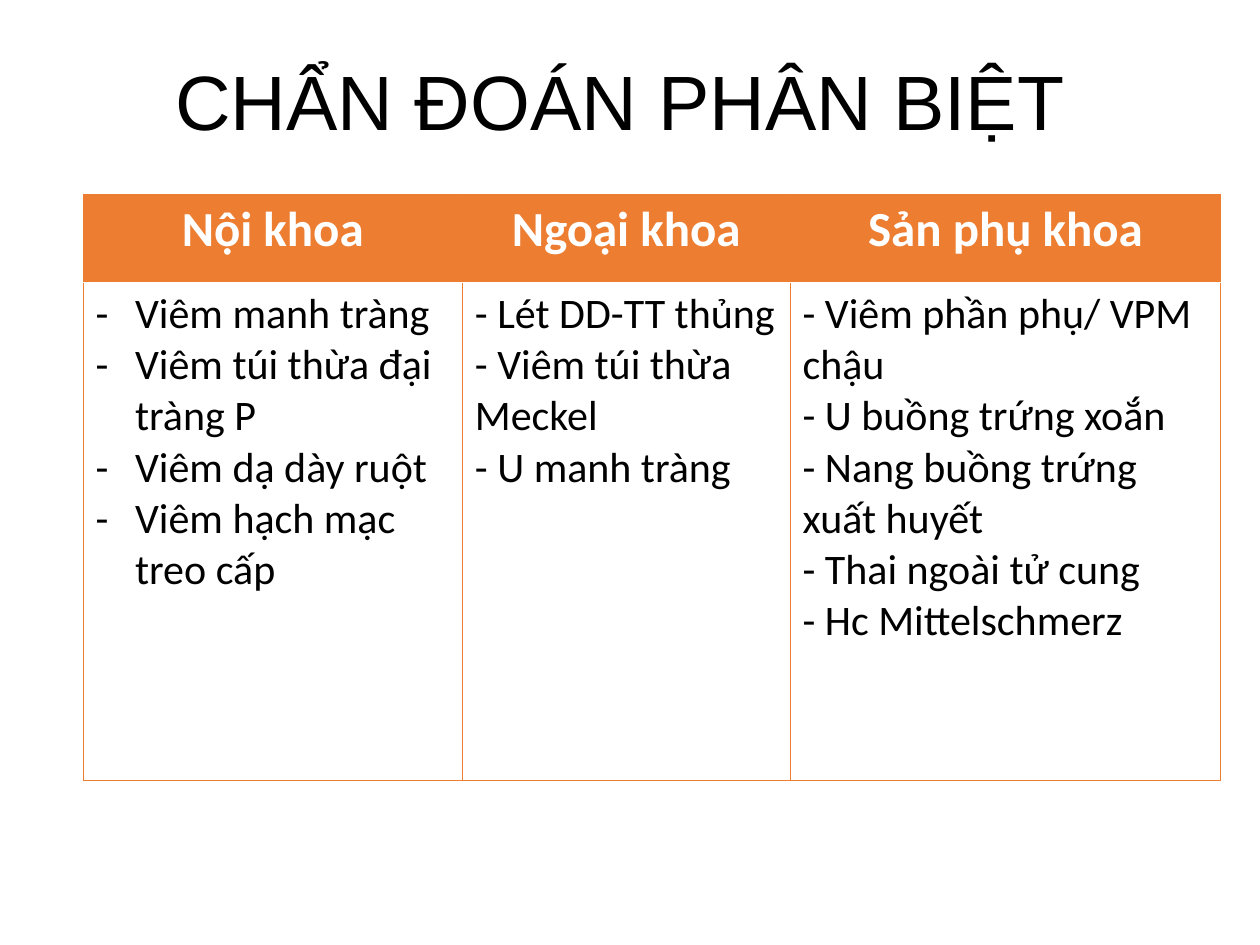
"""Build the differential diagnosis slide with its three-column table."""
import pptx
import pptx.dml.color
import pptx.enum.text
import pptx.oxml.ns
import pptx.util
from lxml import etree

Pt = pptx.util.Pt
ORANGE = pptx.dml.color.RGBColor(0xED, 0x7D, 0x31)
WHITE = pptx.dml.color.RGBColor(0xFF, 0xFF, 0xFF)
BLACK = pptx.dml.color.RGBColor(0, 0, 0)

SPECIALTIES = [
    ("Nội khoa", 216.72, [
        "Viêm manh tràng",
        "Viêm túi thừa đại tràng P",
        "Viêm dạ dày ruột",
        "Viêm hạch mạc treo cấp",
    ]),
    ("Ngoại khoa", 187.2, [
        "- Lét DD-TT thủng",
        "- Viêm túi thừa Meckel",
        "- U manh tràng",
    ]),
    ("Sản phụ khoa", 246.24, [
        "- Viêm phần phụ/ VPM chậu",
        "- U buồng trứng xoắn",
        "- Nang buồng trứng xuất huyết",
        "- Thai ngoài tử cung",
        "- Hc Mittelschmerz",
    ]),
]


def add_element(parent, tag, **attributes):
    return etree.SubElement(parent, pptx.oxml.ns.qn(tag), **attributes)


def style_cell(cell, fill, borders):
    properties = cell._tc.get_or_add_tcPr()
    for side, (color, width) in borders.items():
        line = add_element(properties, f"a:ln{side}", w=str(Pt(width)))
        solid = add_element(line, "a:solidFill")
        add_element(solid, "a:srgbClr", val=str(color))
    cell.fill.solid()
    cell.fill.fore_color.rgb = fill


deck = pptx.Presentation()
deck.slide_width, deck.slide_height = Pt(720), Pt(540)
slide = deck.slides.add_slide(deck.slide_layouts[5])

title = slide.shapes.title
title.left, title.top, title.width, title.height = Pt(92.88), Pt(17.28), Pt(648), Pt(86.4)
title.text_frame.text = "CHẨN ĐOÁN PHÂN BIỆT"
title.text_frame.vertical_anchor = pptx.enum.text.MSO_ANCHOR.MIDDLE
heading = title.text_frame.paragraphs[0]
heading.alignment = pptx.enum.text.PP_ALIGN.LEFT
heading.line_spacing = 0.9
heading.font.name = "Arial"
heading.font.size = Pt(44)
heading.font.color.rgb = BLACK

diagnoses = slide.shapes.add_table(
    2, len(SPECIALTIES), Pt(47.52), Pt(110.88), Pt(650.16), Pt(334.8)).table
diagnoses.horz_banding = False
diagnoses.rows[0].height, diagnoses.rows[1].height = Pt(50.4), Pt(284.4)

thin, divider = (ORANGE, 0.5), (WHITE, 1)
for column, (specialty, width, conditions) in enumerate(SPECIALTIES):
    diagnoses.columns[column].width = Pt(width)
    header, body = diagnoses.cell(0, column), diagnoses.cell(1, column)
    style_cell(header, ORANGE, {"L": thin, "R": thin, "T": thin, "B": divider})
    style_cell(body, WHITE, {"L": thin, "R": thin, "T": divider, "B": thin})
    header.text = specialty
    header.text_frame.paragraphs[0].alignment = pptx.enum.text.PP_ALIGN.CENTER
    body.text = "\n".join(conditions)
    if column == 0:
        for condition in body.text_frame.paragraphs:
            indent = condition._p.get_or_add_pPr()
            indent.set("marL", str(Pt(22.5)))
            indent.set("indent", str(-Pt(22.5)))
            add_element(indent, "a:buFont", typeface="Calibri")
            add_element(indent, "a:buChar", char="-")
    for cell, size, color, bold in ((header, 28, WHITE, True), (body, 24, BLACK, False)):
        for paragraph in cell.text_frame.paragraphs:
            paragraph.font.name = "Calibri"
            paragraph.font.size = Pt(size)
            paragraph.font.bold = bold
            paragraph.font.color.rgb = color

deck.save("out.pptx")
